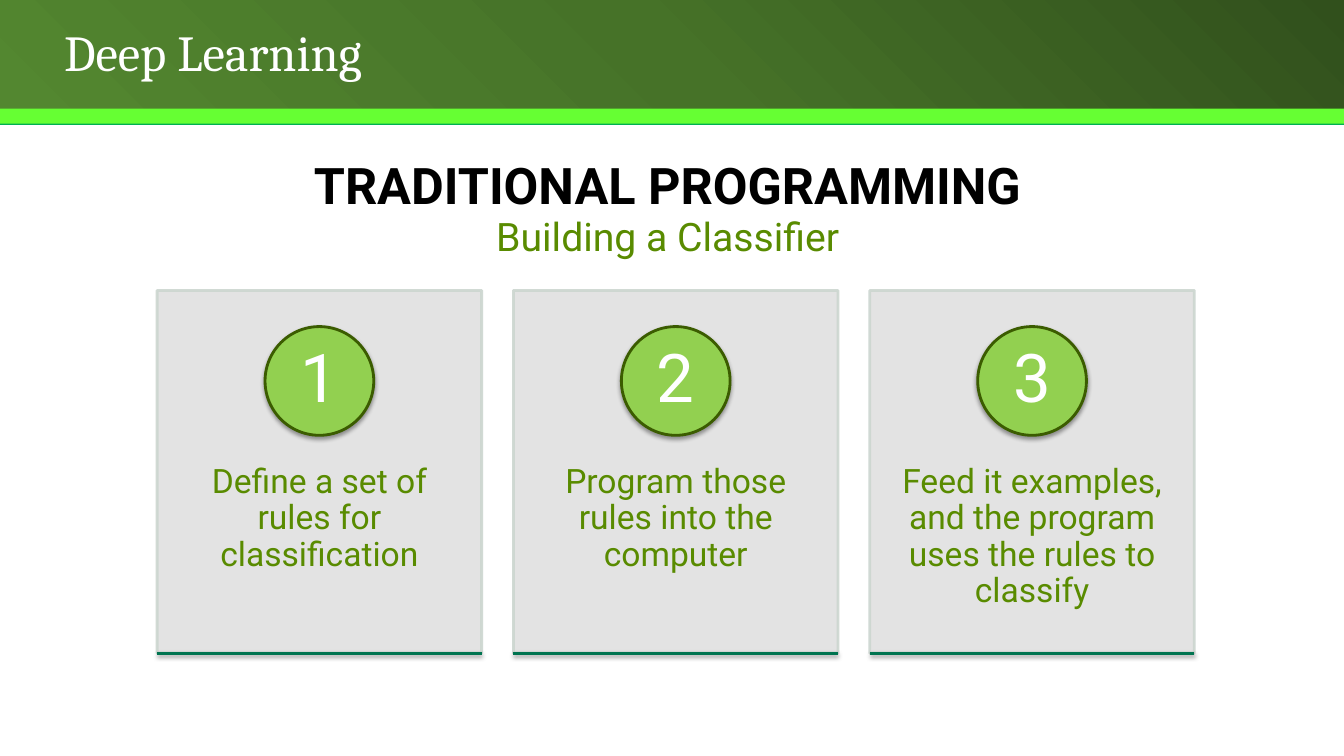
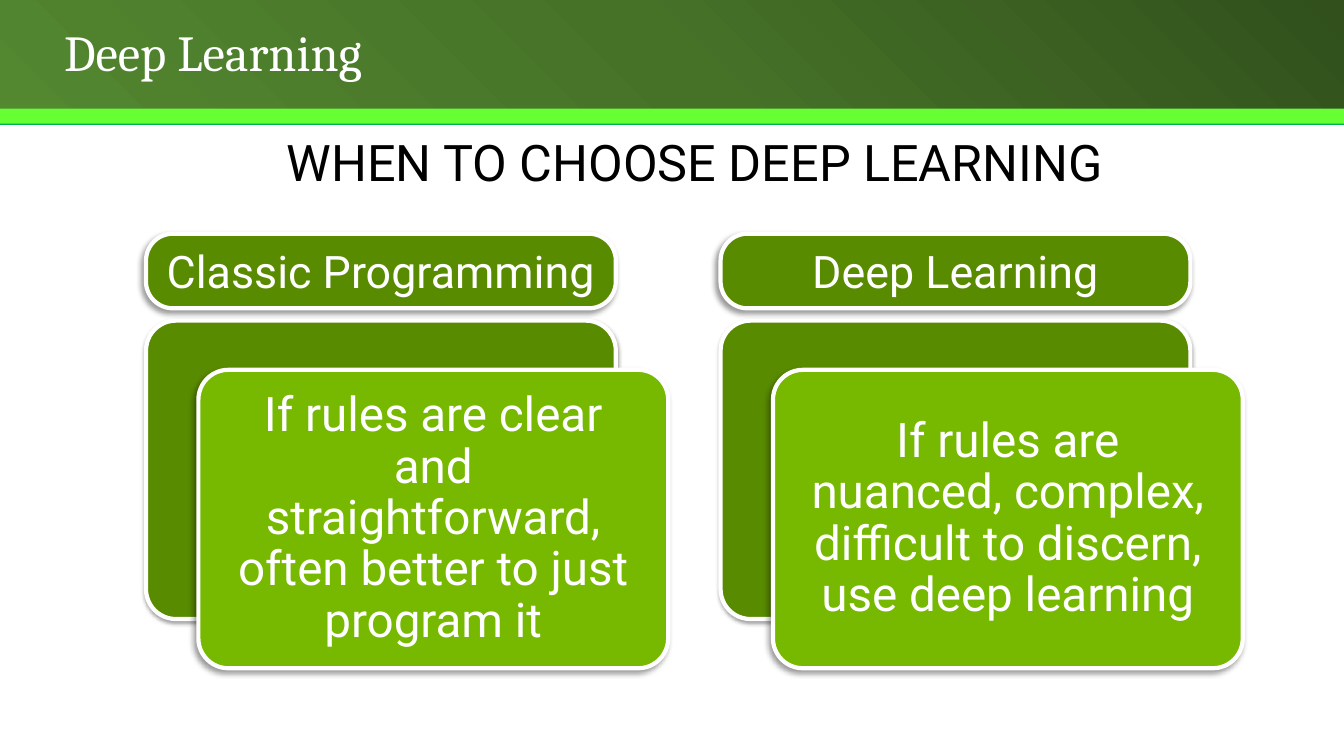
from dataclasses import dataclass
from copy import deepcopy
from typing import Optional

from lxml import etree
from pptx import Presentation
from pptx.dml.color import RGBColor
from pptx.enum.shapes import MSO_CONNECTOR, MSO_SHAPE
from pptx.enum.text import MSO_ANCHOR, PP_ALIGN
from pptx.oxml.ns import qn
from pptx.util import Cm, Pt

RECT, ROUND_RECT, OVAL = MSO_SHAPE.RECTANGLE, MSO_SHAPE.ROUNDED_RECTANGLE, MSO_SHAPE.OVAL
STRAIGHT = MSO_CONNECTOR.STRAIGHT
TOP, MIDDLE, BOTTOM = MSO_ANCHOR.TOP, MSO_ANCHOR.MIDDLE, MSO_ANCHOR.BOTTOM
LEFT, CENTER = PP_ALIGN.LEFT, PP_ALIGN.CENTER

SLIDE_WIDTH, SLIDE_HEIGHT = 33.87, 19.05


@dataclass(frozen=True)
class Theme:
    title_font: str = "Cambria"
    body_font: str = "Roboto"
    white: str = "FFFFFF"
    black: str = "000000"
    band: tuple = ("31501C", "467228", "538730")
    stripe: str = "66FF33"
    stripe_edge: str = "00B050"
    dark_green: str = "598B00"
    light_green: str = "76B900"
    card: str = "E1E1E1"
    card_edge: str = "CCD6D0"
    badge: str = "92D050"
    badge_edge: str = "3B5C00"
    rule: str = "007450"
    heading_size: int = 36
    subtitle_size: int = 28
    card_size: int = 24
    badge_size: int = 48
    topic_size: int = 32
    advice_size: int = 34


THEME = Theme()


@dataclass(frozen=True)
class Box:
    """Place and size in centimetres."""
    left: float
    top: float
    width: float
    height: float

    def lengths(self) -> tuple:
        return Cm(self.left), Cm(self.top), Cm(self.width), Cm(self.height)


@dataclass(frozen=True)
class TextStyle:
    size: int
    color: str
    font: str = THEME.body_font
    bold: bool = False
    align: PP_ALIGN = CENTER
    anchor: MSO_ANCHOR = MIDDLE
    spacing: float = 0.9
    insets: tuple = (0.25, 0.13, 0.25, 0.13)  # left, top, right, bottom


@dataclass(frozen=True)
class Shadow:
    blur: float
    distance: float
    angle: int
    opacity: int


@dataclass(frozen=True)
class Look:
    fill: str
    edge: Optional[str] = None
    edge_width: float = 2
    opacity: int = 100
    shadow: Optional[Shadow] = None
    corner: Optional[float] = None


@dataclass(frozen=True)
class Choice:
    topic: str
    advice: str


SOFT = Shadow(3.1, 1.6, 90, 38)
DEEP = Shadow(4, 3, 135, 40)

STEPS = (
    "Define a set of rules for classification",
    "Program those rules into the computer",
    "Feed it examples, and the program uses the rules to classify",
)
CHOICES = (
    Choice("Classic Programming",
           "If rules are clear and straightforward, often better to just program it"),
    Choice("Deep Learning",
           "If rules are nuanced, complex, difficult to discern, use deep learning"),
)


# Drawing helpers
def write(shape, text: str, style: TextStyle) -> None:
    frame = shape.text_frame
    frame.word_wrap = True
    frame.vertical_anchor = style.anchor
    (frame.margin_left, frame.margin_top,
     frame.margin_right, frame.margin_bottom) = (Cm(inset) for inset in style.insets)
    paragraph = frame.paragraphs[0]
    paragraph.text = text
    paragraph.alignment = style.align
    paragraph.line_spacing = style.spacing
    font = paragraph.font
    font.name, font.size, font.bold = style.font, Pt(style.size), style.bold
    font.color.rgb = RGBColor.from_string(style.color)


def add_text(slide, box: Box, text: str, style: TextStyle) -> None:
    write(slide.shapes.add_textbox(*box.lengths()), text, style)


def set_opacity(element, percent: int) -> None:
    for color in element.iter(qn("a:srgbClr")):
        etree.SubElement(color, qn("a:alpha"), val=str(percent * 1000))


def cast_shadow(effects, shadow: Shadow) -> None:
    outer = etree.SubElement(
        effects, qn("a:outerShdw"), blurRad=str(Pt(shadow.blur)),
        dist=str(Pt(shadow.distance)), dir=str(shadow.angle * 60000), rotWithShape="0")
    etree.SubElement(outer, qn("a:srgbClr"), val=THEME.black)
    set_opacity(outer, shadow.opacity)


def add_panel(slide, kind: MSO_SHAPE, box: Box, look: Look):
    panel = slide.shapes.add_shape(kind, *box.lengths())
    panel.shadow.inherit = False
    panel.fill.solid()
    panel.fill.fore_color.rgb = RGBColor.from_string(look.fill)
    if look.edge:
        panel.line.color.rgb = RGBColor.from_string(look.edge)
        panel.line.width = Pt(look.edge_width)
    else:
        panel.line.fill.background()
    if look.corner is not None:
        panel.adjustments[0] = look.corner
    properties = panel._element.spPr
    if look.opacity < 100:
        set_opacity(properties, look.opacity)
    if look.shadow:
        cast_shadow(properties.find(qn("a:effectLst")), look.shadow)
    return panel


def add_rule(slide, left: float, top: float, width: float) -> None:
    rule = slide.shapes.add_connector(STRAIGHT, Cm(left), Cm(top), Cm(left + width), Cm(top))
    rule.line.color.rgb = RGBColor.from_string(THEME.rule)
    rule.line.width = Pt(2)
    cast_shadow(etree.SubElement(rule._element.spPr, qn("a:effectLst")), SOFT)


# Parts shared by the slides
def add_band(slide) -> None:
    band = add_panel(slide, RECT, Box(0, 0, SLIDE_WIDTH, 2.77), Look(THEME.band[0]))
    band.fill.gradient()
    band.fill.gradient_angle = 225
    stop_list = band._element.spPr.find(qn("a:gradFill")).find(qn("a:gsLst"))
    stop_list.append(deepcopy(stop_list[0]))
    for index, (stop, color) in enumerate(zip(band.fill.gradient_stops, THEME.band)):
        stop.position = index / 2
        stop.color.rgb = RGBColor.from_string(color)


def start_slide(deck):
    slide = deck.slides.add_slide(deck.slide_layouts[6])
    add_band(slide)
    for top, color in ((2.77, THEME.stripe_edge), (2.74, THEME.stripe)):
        add_panel(slide, RECT, Box(0, top, SLIDE_WIDTH, 0.38), Look(color))
    add_text(slide, Box(1.37, 0.69, 27.69, 1.4), "Deep Learning",
             TextStyle(THEME.heading_size, THEME.white, THEME.title_font, align=LEFT))
    return slide


def add_heading(slide, left: float, top: float, text: str, bold: bool = False) -> None:
    add_text(slide, Box(left, top, 27.71, 1.65), text,
             TextStyle(THEME.heading_size, THEME.black, bold=bold, anchor=BOTTOM))


# Slide 1: numbered steps
def add_step(slide, number: int, text: str) -> None:
    card = Box(3.96 + (number - 1) * 8.98, 7.32, 8.18, 9.14)
    panel = add_panel(slide, RECT, card, Look(THEME.card, THEME.card_edge, opacity=90))
    write(panel, text, TextStyle(THEME.card_size, THEME.dark_green, anchor=TOP,
                                 insets=(0.64, 4.39, 0.64, 0.91)))
    diameter = 2.74
    badge = add_panel(
        slide, OVAL,
        Box(card.left + (card.width - diameter) / 2, card.top + 0.91, diameter, diameter),
        Look(THEME.badge, THEME.badge_edge, shadow=SOFT))
    write(badge, str(number), TextStyle(THEME.badge_size, THEME.white,
                                        insets=(0.2, 0.03, 0.2, 0.03)))
    add_rule(slide, card.left, card.top + card.height, card.width)


def build_steps(deck) -> None:
    slide = start_slide(deck)
    add_heading(slide, 2.97, 3.91, "TRADITIONAL PROGRAMMING", bold=True)
    add_text(slide, Box(2.97, 5.36, 27.71, 1.45), "Building a Classifier",
             TextStyle(THEME.subtitle_size, THEME.dark_green, anchor=TOP))
    for number, text in enumerate(STEPS, start=1):
        add_step(slide, number, text)


# Slide 2: two choices side by side
def add_choice(slide, column: int, choice: Choice) -> None:
    left, top, width, height = 3.68 + column * 14.48, 8.08, 11.84, 7.52
    add_panel(slide, ROUND_RECT, Box(left, top, width, height),
              Look(THEME.dark_green, THEME.white, 3, shadow=SOFT, corner=0.1))
    advice = add_panel(slide, ROUND_RECT, Box(left + 1.32, top + 1.24, width, height),
                       Look(THEME.light_green, THEME.white, 3, shadow=DEEP, corner=0.1))
    write(advice, choice.advice,
          TextStyle(THEME.advice_size, THEME.white, insets=(0.36,) * 4))
    topic = add_panel(slide, ROUND_RECT, Box(left, 5.89, width, 1.88),
                      Look(THEME.dark_green, THEME.white, 3, shadow=DEEP, corner=0.36))
    write(topic, choice.topic, TextStyle(THEME.topic_size, THEME.white, spacing=1.0))


def build_choices(deck) -> None:
    slide = start_slide(deck)
    add_heading(slide, 3.66, 3.33, "WHEN TO CHOOSE DEEP LEARNING")
    for column, choice in enumerate(CHOICES):
        add_choice(slide, column, choice)


def main() -> None:
    deck = Presentation()
    deck.slide_width, deck.slide_height = Cm(SLIDE_WIDTH), Cm(SLIDE_HEIGHT)
    build_steps(deck)
    build_choices(deck)
    deck.save("out.pptx")


if __name__ == "__main__":
    main()
